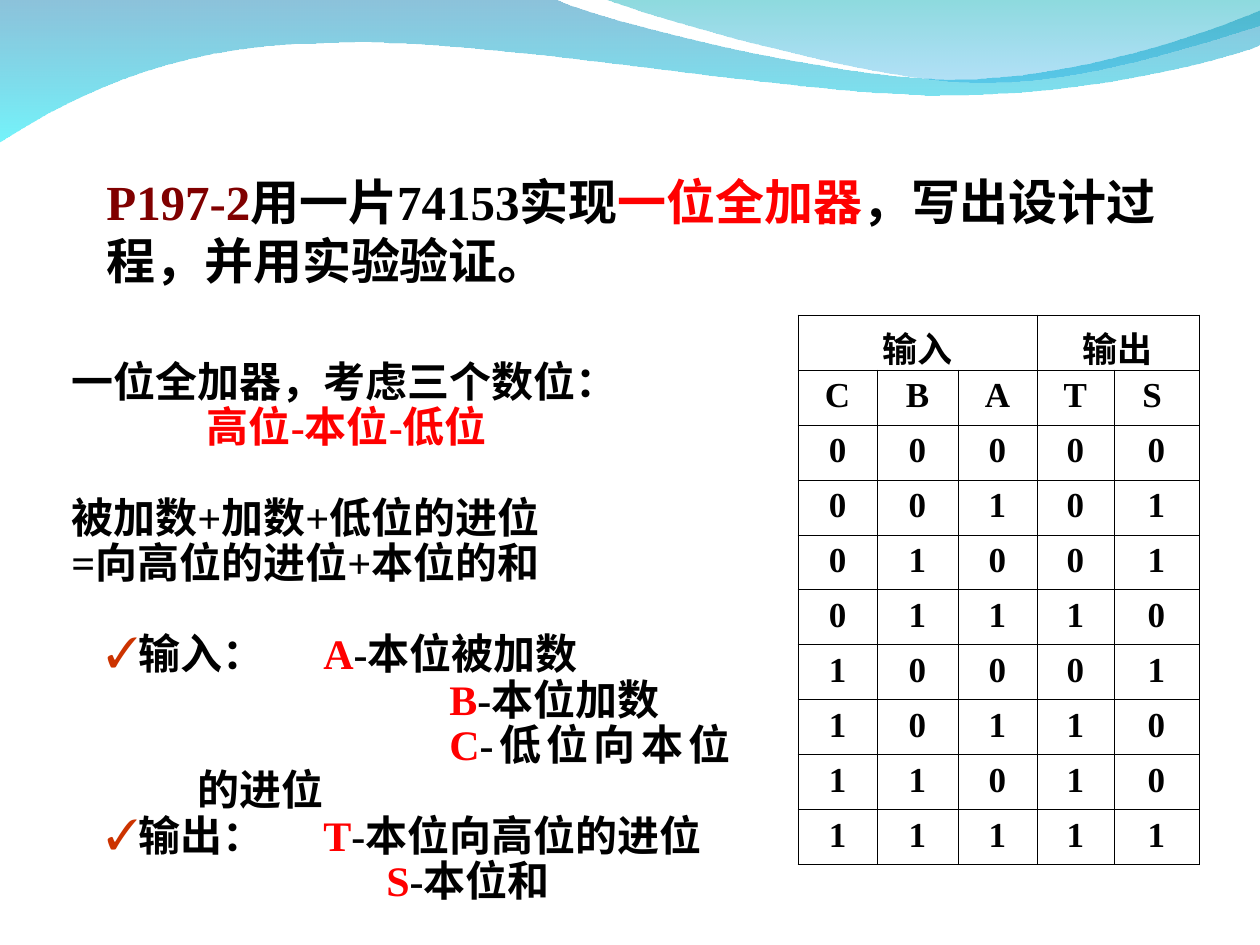
import pptx
import pptx.dml.color
import pptx.enum.text
import pptx.oxml
import pptx.oxml.ns
import pptx.util

FONT = "Times New Roman"
BLACK, RED, MAROON, RUST = "000000", "FF0000", "800000", "CC3300"
ALIGN = pptx.enum.text.PP_ALIGN


def px(length):
    return pptx.util.Emu(round(length * 914400 / 126))


def color(hex_string):
    return pptx.dml.color.RGBColor.from_string(hex_string)


def element(name, attributes="", content=""):
    namespace = pptx.oxml.ns.nsdecls("a")
    return pptx.oxml.parse_xml(f"<a:{name} {namespace} {attributes}>{content}</a:{name}>")


# Text
def add_span(paragraph, text, size=24, tint=BLACK, bold=True):
    span = paragraph.add_run()
    span.text = text
    span.font.name = FONT
    span.font.size = pptx.util.Pt(size)
    span.font.bold = bold
    span.font.color.rgb = color(tint)


def format_paragraph(paragraph, align=ALIGN.LEFT, level=0, margin=0, indent=0,
                     spacing=None, before=0, bullet=None, tab=126):
    paragraph.alignment = align
    paragraph.level = level
    properties = paragraph._p.get_or_add_pPr()
    for name, length in (("marL", margin), ("indent", indent), ("defTabSz", tab)):
        properties.set(name, str(px(length)))
    if bullet:
        properties.append(element("buClr", content=f'<a:srgbClr val="{RUST}"/>'))
        properties.append(element("buFont", f'typeface="{FONT}"'))
        properties.append(element("buChar", f'char="{bullet}"'))
    if spacing:
        paragraph.line_spacing = spacing
    if before:
        paragraph.space_before = pptx.util.Pt(before)


def add_text(page, left, top, width, height, paragraphs, size):
    """Each paragraph is a list of (text, tint) spans and a dict of its format."""
    box = page.shapes.add_textbox(px(left), px(top), px(width), px(height))
    frame = box.text_frame
    frame.word_wrap = True
    frame.auto_size = pptx.enum.text.MSO_AUTO_SIZE.SHAPE_TO_FIT_TEXT
    for index, (spans, style) in enumerate(paragraphs):
        paragraph = frame.add_paragraph() if index else frame.paragraphs[0]
        format_paragraph(paragraph, **style)
        for text, tint in spans:
            add_span(paragraph, text, size=size, tint=tint)


# Waves
def bend_lines(wave, segments):
    """Join the three lines of each curved segment into one cubic curve."""
    lines = wave._element.findall(".//" + pptx.oxml.ns.qn("a:lnTo"))
    for segment in segments:
        group, lines = lines[:len(segment)], lines[len(segment):]
        if len(segment) == 3:
            curve = element("cubicBezTo")
            group[0].addprevious(curve)
            for line in group:
                curve.append(line[0])
                line.getparent().remove(line)


def add_wave(page, start, segments, stops):
    """A segment of one point is a line, one of three points is a curve."""
    corners = [(px(x), px(y)) for segment in segments for x, y in segment]
    builder = page.shapes.build_freeform(px(start[0]), px(start[1]), scale=1.0)
    builder.add_line_segments(corners, close=True)
    wave = builder.convert_to_shape()
    bend_lines(wave, segments)
    wave.shadow.inherit = False
    wave.line.fill.background()
    wave.fill.gradient()
    wave.fill.gradient_angle = 270
    for stop, (tint, _) in zip(wave.fill.gradient_stops, stops):
        stop.color.rgb = color(tint)
    tints = wave._element.spPr.iter(pptx.oxml.ns.qn("a:srgbClr"))
    for tint, (_, opacity) in zip(list(tints), stops):
        tint.append(element("alpha", f'val="{opacity * 1000}"'))


# Truth table
def add_borders(cell):
    properties = cell._tc.get_or_add_tcPr()
    fill = f'<a:solidFill><a:srgbClr val="{BLACK}"/></a:solidFill>'
    for place, side in enumerate("LRTB"):
        properties.insert(place, element(f"ln{side}", 'w="5715"', fill))


def add_truth_table(page, left, top, widths, row_height, rows):
    table = page.shapes.add_table(len(rows), len(widths), px(left), px(top), px(sum(widths)),
                                  px(row_height * len(rows))).table
    table.first_row = table.horz_banding = False
    for column, width in zip(table.columns, widths):
        column.width = px(width)
    for row, values in enumerate(rows):
        table.rows[row].height = px(row_height)
        for column, value in enumerate(values):
            cell = table.cell(row, column)
            cell.fill.background()
            add_borders(cell)
            if value:
                paragraph = cell.text_frame.paragraphs[0]
                format_paragraph(paragraph, align=ALIGN.CENTER, margin=48, indent=-48)
                add_span(paragraph, value, size=20)
    table.cell(0, 0).merge(table.cell(0, 2))
    table.cell(0, 3).merge(table.cell(0, 4))


def truth_rows():
    """Full adder: carry T and sum S of the inputs C, B and A."""
    for number in range(8):
        inputs = [int(bit) for bit in f"{number:03b}"]
        total = sum(inputs)
        yield [str(bit) for bit in (*inputs, total // 2, total % 2)]


def main():
    deck = pptx.Presentation()
    deck.slide_width, deck.slide_height = px(1260), px(945)
    page = deck.slides.add_slide(deck.slide_layouts[6])

    # Header waves
    add_wave(page, (0, -1), [
        [(554, -1)],
        [(600, 21), (837, 79), (955, 79)],
        [(1075, 79), (1207, 33), (1260, 11)],
        [(1261, 45)],
        [(1239, 55), (1096, 96), (940, 95)],
        [(784, 95), (481, 35), (324, 43)],
        [(163, 44), (58, 105), (-1, 142)],
    ], [("0079AF", 45), ("00EBF8", 55)])
    add_wave(page, (604, -1), [
        [(641, 14), (859, 78), (969, 82)],
        [(1079, 87), (1211, 40), (1260, 26)],
        [(1260, 0)],
    ], [("00ADB6", 45), ("009BE5", 30)])

    # Exercise
    add_text(page, 94, 165, 1091, 131, [
        ([("P197-2", MAROON), ("用一片74153实现", BLACK), ("一位全加器", RED),
          ("，写出设计过程，并用实验验证。", BLACK)], {}),
    ], size=28)

    # Explanation
    plain = dict(align=ALIGN.JUSTIFY, spacing=0.9)
    after_gap = dict(plain, before=26)
    second = dict(plain, level=1, margin=63, tab=63)
    checked = dict(second, bullet="✓", indent=-28)
    third = dict(plain, level=2, margin=126, indent=126)
    add_text(page, 59, 355, 684, 557, [
        ([("一位全加器，考虑三个数位：", BLACK)], plain),
        ([("\t ", BLACK), ("高位-本位-低位", RED)], plain),
        ([("被加数+加数+低位的进位", BLACK)], after_gap),
        ([("=向高位的进位+本位的和", BLACK)], plain),
        ([("输入：\t", BLACK), ("A", RED), ("-本位被加数", BLACK)], dict(checked, before=26)),
        ([("\tB", RED), ("-本位加数", BLACK)], third),
        ([("\tC", RED), ("-低位向本位的进位", BLACK)], third),
        ([("输出：\t", BLACK), ("T", RED), ("-本位向高位的进位", BLACK)], checked),
        ([("\t\tS", RED), ("-本位和", BLACK)], dict(second, indent=126)),
    ], size=24)

    # Truth table
    headings = [["输入", "", "", "输出", ""], ["C", "B", "A", "T", "S "]]
    add_truth_table(page, 798, 315, (79, 81, 79, 77, 85), 55, headings + list(truth_rows()))

    deck.save("out.pptx")


if __name__ == "__main__":
    main()
